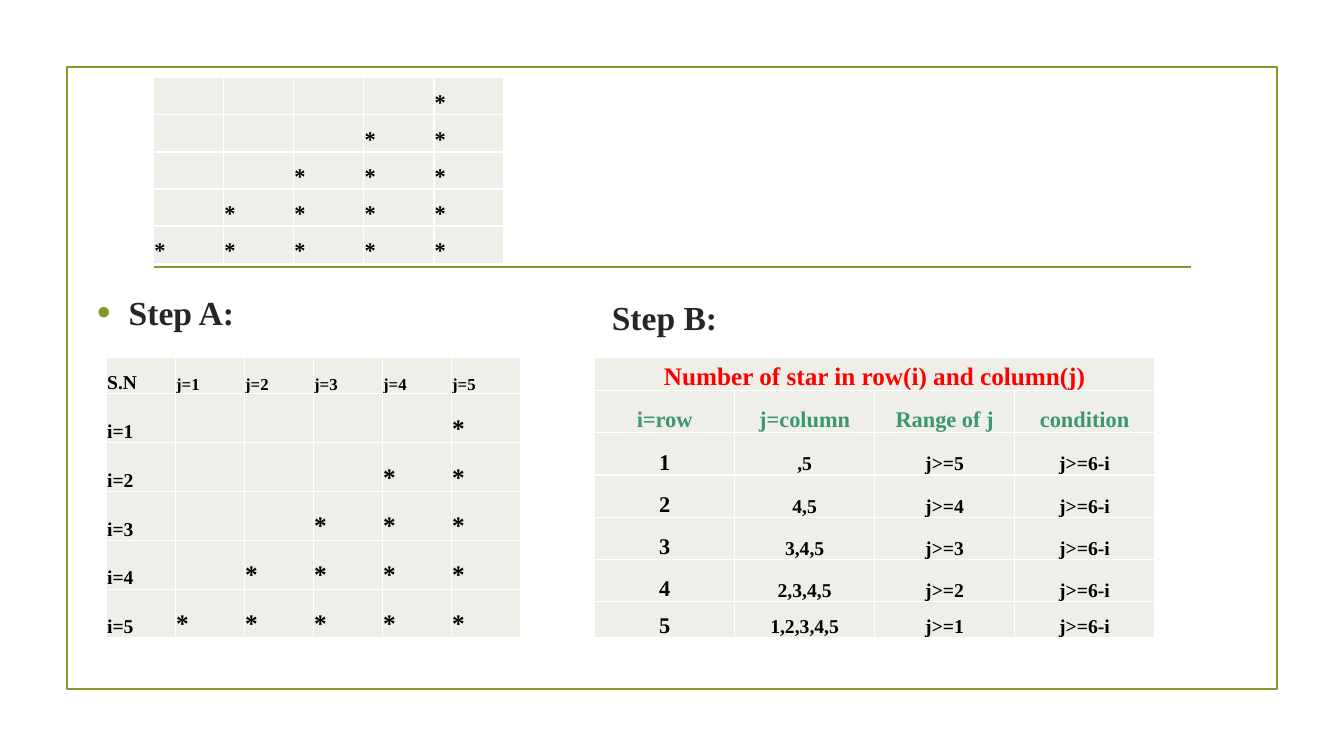
"""Build the slide that derives the loop condition of a star triangle."""
import pptx
import pptx.dml.color
import pptx.enum.shapes
import pptx.enum.text
import pptx.oxml
import pptx.oxml.ns
import pptx.util

Pt = pptx.util.Pt
ALIGN = pptx.enum.text.PP_ALIGN
ANCHOR = pptx.enum.text.MSO_ANCHOR
NAMESPACE = pptx.oxml.ns.nsdecls("a")

OLIVE = pptx.dml.color.RGBColor(0x83, 0x99, 0x2A)
DARK = pptx.dml.color.RGBColor(0x26, 0x26, 0x26)
BLACK = pptx.dml.color.RGBColor(0x00, 0x00, 0x00)
RED = pptx.dml.color.RGBColor(0xFF, 0x00, 0x00)
GREEN = pptx.dml.color.RGBColor(0x3C, 0x97, 0x70)
CELL_FILL = pptx.dml.color.RGBColor(0xED, 0xEF, 0xE8)
WHITE = pptx.dml.color.RGBColor(0xFF, 0xFF, 0xFF)


def write_text(frame, text, size=14, color=BLACK, align=ALIGN.LEFT):
    para = frame.paragraphs[0]
    para.alignment = align
    span = para.add_run()
    span.text = text
    span.font.name = "Times New Roman"
    span.font.size = Pt(size)
    span.font.bold = True
    span.font.color.rgb = color
    return para


def add_grid(page, left, top, widths, heights):
    table = page.shapes.add_table(len(heights), len(widths), Pt(left), Pt(top),
                                  Pt(sum(widths)), Pt(sum(heights))).table
    table.first_row = False
    table.horz_banding = False
    for column, width in zip(table.columns, widths):
        column.width = Pt(width)
    for row, height in zip(table.rows, heights):
        row.height = Pt(height)
    for cell in table.iter_cells():
        cell.margin_left = cell.margin_right = cell.margin_top = Pt(0.6)
        cell.margin_bottom = Pt(0)
        cell.vertical_anchor = ANCHOR.BOTTOM
        properties = cell._tc.get_or_add_tcPr()
        for side in ("lnL", "lnR", "lnT", "lnB"):
            properties.append(pptx.oxml.parse_xml(
                f'<a:{side} {NAMESPACE} w="{Pt(1)}"><a:solidFill>'
                f'<a:srgbClr val="{WHITE}"/></a:solidFill></a:{side}>'))
        cell.fill.solid()
        cell.fill.fore_color.rgb = CELL_FILL
    return table


deck = pptx.Presentation()
deck.slide_width = Pt(960)
deck.slide_height = Pt(540)
page = deck.slides.add_slide(deck.slide_layouts[6])

border = page.shapes.add_shape(pptx.enum.shapes.MSO_SHAPE.RECTANGLE,
                               Pt(48), Pt(48), Pt(864), Pt(444))
border.shadow.inherit = False
border.fill.background()
border.line.color.rgb = OLIVE
border.line.width = Pt(1.25)

divider = page.shapes.add_connector(pptx.enum.shapes.MSO_CONNECTOR.STRAIGHT,
                                    Pt(110), Pt(190.8), Pt(850.5), Pt(190.8))
divider.line.color.rgb = OLIVE
divider.line.width = Pt(1.25)
divider._element.spPr.append(pptx.oxml.parse_xml(f"<a:effectLst {NAMESPACE}/>"))

headings = []
for heading, left, top in (("Step A:", 69.4, 205.2), ("Step B:", 437, 208.2)):
    box = page.shapes.add_textbox(Pt(left), Pt(top), Pt(300), Pt(36))
    frame = box.text_frame
    frame.word_wrap = True
    frame.margin_left = 0
    headings.append(write_text(frame, heading, size=24, color=DARK))

bullet = headings[0]._p.get_or_add_pPr()
bullet.set("marL", str(Pt(22.5)))
bullet.set("indent", str(-Pt(22.5)))
for mark in (f'<a:buClr {NAMESPACE}><a:srgbClr val="{OLIVE}"/></a:buClr>',
             f'<a:buSzPct {NAMESPACE} val="115000"/>',
             f'<a:buFont {NAMESPACE} typeface="Arial"/>',
             f'<a:buChar {NAMESPACE} char="•"/>'):
    bullet.append(pptx.oxml.parse_xml(mark))

step_a = add_grid(page, 75.9, 255.6, [49.3] * 6, [25.7] + [34.9] * 5)
pattern = add_grid(page, 109.6, 55.6, [50.1] * 5, [26.5] * 5)
step_b = add_grid(page, 424.8, 255.6, [100] * 4, [23.3] + [30.2] * 5 + [25.9])

write_text(step_a.cell(0, 0).text_frame, "S.N")
title = step_b.cell(0, 0)
title.merge(step_b.cell(0, 3))
write_text(title.text_frame, "Number of star in row(i) and column(j)",
           size=18, color=RED, align=ALIGN.CENTER)
for column, label in enumerate(("i=row", "j=column", "Range of j", "condition")):
    write_text(step_b.cell(1, column).text_frame, label,
               size=16, color=GREEN, align=ALIGN.CENTER)

for i in range(1, 6):
    write_text(step_a.cell(0, i).text_frame, f"j={i}", size=12)
    write_text(step_a.cell(i, 0).text_frame, f"i={i}")
    first = 6 - i
    for j in range(first, 6):
        write_text(step_a.cell(i, j).text_frame, "*", size=18)
        write_text(pattern.cell(i - 1, j - 1).text_frame, "*", size=16)
    starred = ",5" if i == 1 else ",".join(str(j) for j in range(first, 6))
    for column, value in enumerate((str(i), starred, f"j>={first}", "j>=6-i")):
        write_text(step_b.cell(i + 1, column).text_frame, value,
                   size=14 if column else 16, align=ALIGN.CENTER)

deck.save("out.pptx")
